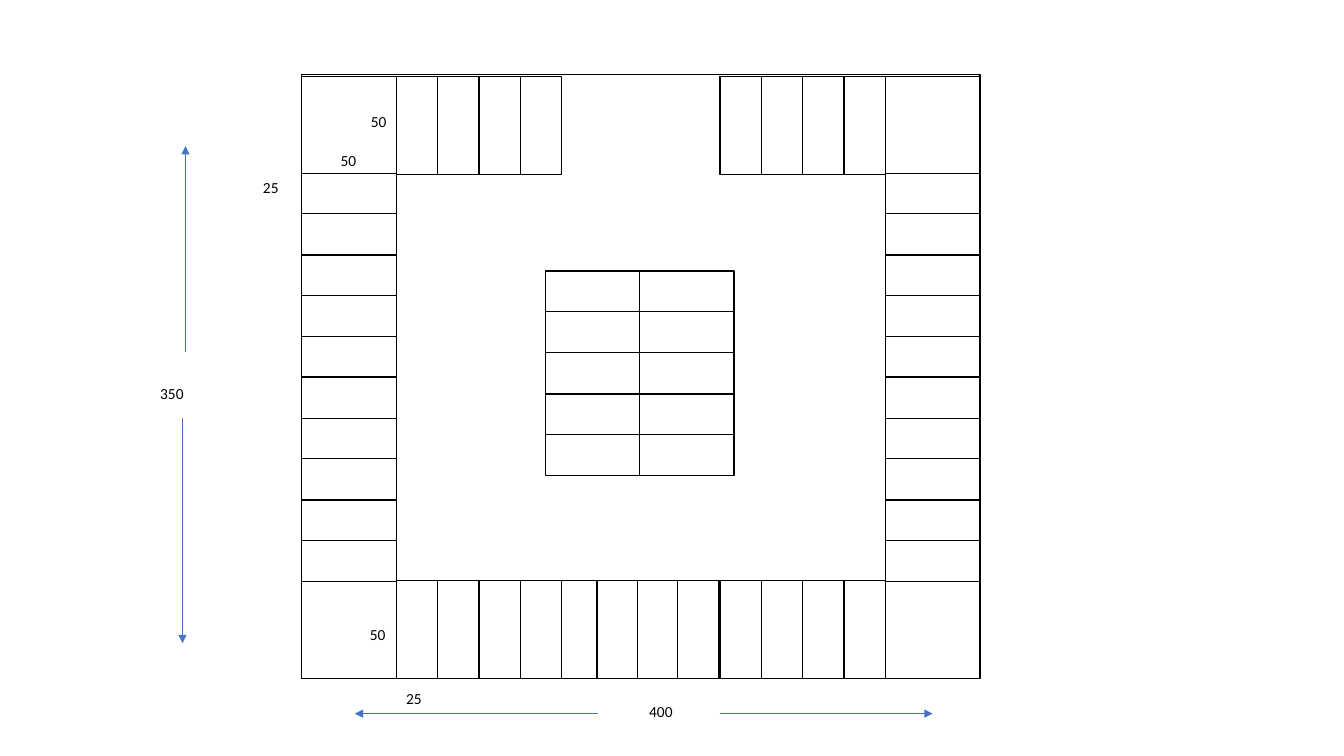
"""Build a floor plan slide with stalls around a hall and its dimensions."""
from lxml import etree
from pptx import Presentation
from pptx.dml.color import RGBColor
from pptx.enum.shapes import MSO_CONNECTOR, MSO_SHAPE
from pptx.enum.text import MSO_AUTO_SIZE
from pptx.oxml.ns import qn
from pptx.util import Pt

RECTANGLE = MSO_SHAPE.RECTANGLE
STRAIGHT = MSO_CONNECTOR.STRAIGHT
FIT_TEXT = MSO_AUTO_SIZE.SHAPE_TO_FIT_TEXT
PX = 9144
COLORS = {"paper": "FFFFFF", "ink": "000000", "arrow": "4472C4"}
FRAME_FORMAT = {"word_wrap": True, "auto_size": FIT_TEXT}
FONT_FORMAT = {"name": "Calibri", "size": Pt(11)}

LEFT, RIGHT, TOP, BOTTOM = 299, 878, 76, 576
CORNER_WIDTH, DEPTH = 94, 97
STALL = 41
SIDE_TOP, SIDE_STALLS, SIDE_PITCH = 172, 10, 40.44
WEST_ROW, EAST_ROW, MIDDLE_ROW = 393, 714, 552
ISLAND_LEFT, ISLAND_TOP = 541, 269

presentation = Presentation()
presentation.slide_width = 1333 * PX
presentation.slide_height = 750 * PX
slide = presentation.slides.add_slide(presentation.slide_layouts[6])


def add_box(left, top, width, height):
    shape = slide.shapes.add_shape(
        RECTANGLE, left * PX, top * PX, width * PX, height * PX)
    shape.shadow.inherit = False
    shape.fill.solid()
    shape.fill.fore_color.rgb = RGBColor.from_string(COLORS["paper"])
    shape.line.color.rgb = RGBColor.from_string(COLORS["ink"])
    shape.line.width = Pt(1)


add_box(LEFT, 74, 673, 597)

for left in (LEFT, RIGHT):
    for top in (TOP, BOTTOM):
        add_box(left, top, CORNER_WIDTH, DEPTH)
    for index in range(SIDE_STALLS):
        add_box(left, SIDE_TOP + round(index * SIDE_PITCH), CORNER_WIDTH, STALL)

STALL_ROWS = [
    (MIDDLE_ROW, BOTTOM, 40),
    (WEST_ROW, BOTTOM, STALL),
    (EAST_ROW, BOTTOM, STALL),
    (WEST_ROW, TOP, STALL),
    (EAST_ROW, TOP, STALL),
]
for row_left, top, pitch in STALL_ROWS:
    for index in range(4):
        add_box(row_left + index * pitch, top, STALL, DEPTH)

for column in range(2):
    for row in range(5):
        add_box(ISLAND_LEFT + column * 93, ISLAND_TOP + round(row * 40.5),
                CORNER_WIDTH, STALL)

DIMENSIONS = [
    ("25", 251, 172),
    ("50", 328, 145),
    ("350", 149, 376),
    ("50", 358, 106),
    ("25", 393, 679),
    ("50", 357, 615),
    ("400", 634, 692),
]
for text, left, top in DIMENSIONS:
    label = slide.shapes.add_textbox(left * PX, top * PX, 48 * PX, 29 * PX)
    for name, value in FRAME_FORMAT.items():
        setattr(label.text_frame, name, value)
    run = label.text_frame.paragraphs[0].add_run()
    run.text = text
    for name, value in FONT_FORMAT.items():
        setattr(run.font, name, value)
    run.font.color.rgb = RGBColor.from_string(COLORS["ink"])

ARROWS = [
    (184, 349, 184, 145),
    (181, 415, 181, 638),
    (714, 708, 925, 708),
    (593, 708, 352, 708),
]
for ends in ARROWS:
    arrow = slide.shapes.add_connector(STRAIGHT, *(end * PX for end in ends))
    arrow.line.color.rgb = RGBColor.from_string(COLORS["arrow"])
    arrow.line.width = Pt(0.5)
    properties = arrow.element.spPr
    etree.SubElement(properties.find(qn("a:ln")), qn("a:tailEnd"), type="triangle")
    etree.SubElement(properties, qn("a:effectLst"))

presentation.save("out.pptx")
